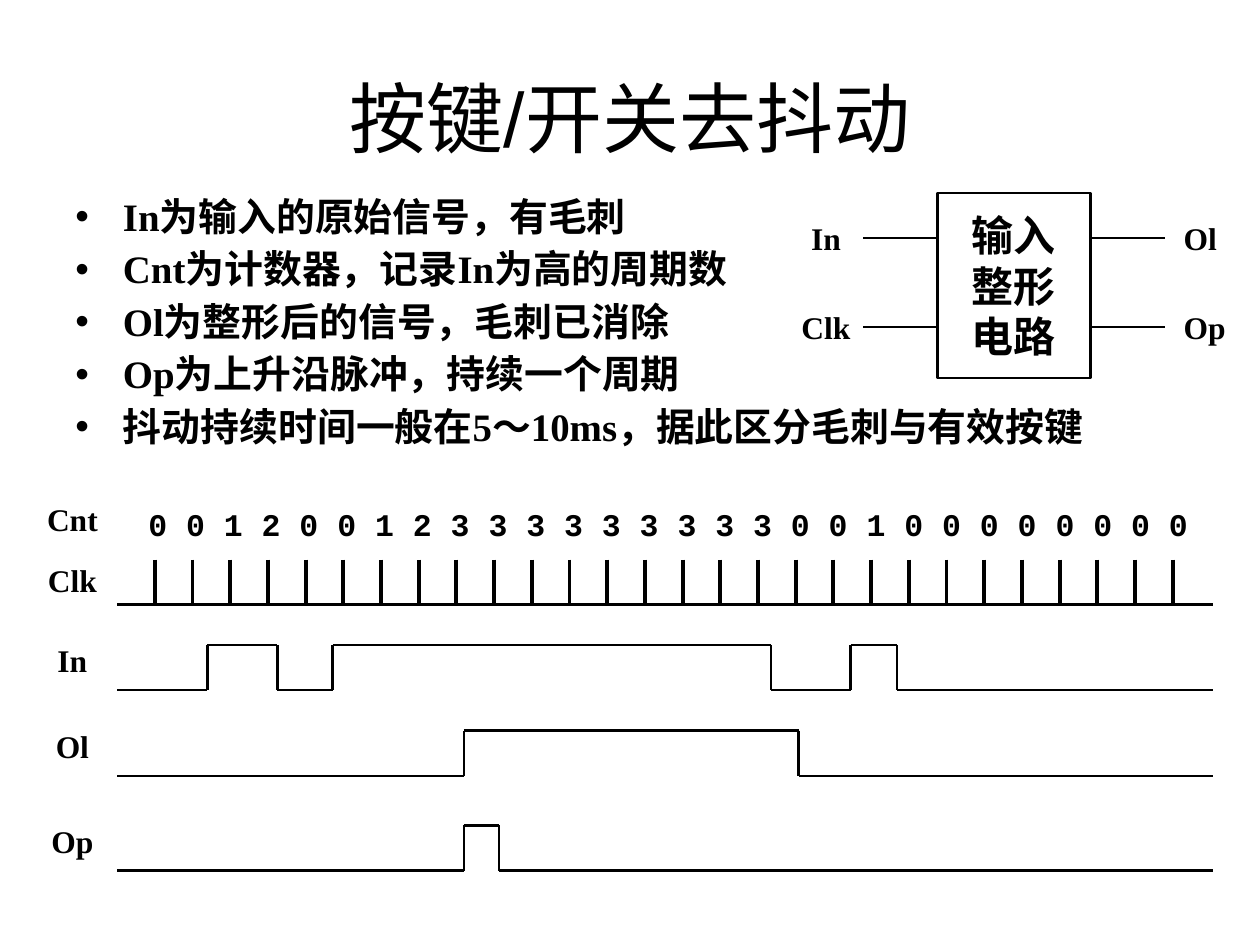
from dataclasses import dataclass
from itertools import pairwise

from lxml.etree import SubElement
from pptx import Presentation
from pptx.dml.color import RGBColor
from pptx.enum.shapes import MSO_CONNECTOR as Link, MSO_SHAPE as Form
from pptx.enum.text import MSO_ANCHOR as Anchor, PP_ALIGN as Align
from pptx.oxml.ns import qn
from pptx.util import Cm, Pt


@dataclass(frozen=True)
class Theme:
    ink: RGBColor = RGBColor(0, 0, 0)
    head: str = "Arial"
    body: str = "Times New Roman"
    code: str = "Courier New"
    title: float = 44
    block: float = 24
    list: float = 22.2
    label: float = 18
    thin: float = 1.5
    thick: float = 2.25


T = Theme()

POINTS = (
    "In为输入的原始信号，有毛刺",
    "Cnt为计数器，记录In为高的周期数",
    "Ol为整形后的信号，毛刺已消除",
    "Op为上升沿脉冲，持续一个周期",
    "抖动持续时间一般在5～10ms，据此区分毛刺与有效按键",
)
COUNTS = "0012001233333333300100000000"
# Name, top of the high level, and where the level flips (cm in the box)
WAVES = (
    ("In", 3.04, (1.82, 3.23, 4.35, 13.18, 14.79, 15.72)),
    ("Ol", 4.77, (6.99, 13.74)),
    ("Op", 6.68, (6.99, 7.7)),
)


def style(par, size, face=T.body, bold=True, align=Align.LEFT):
    par.alignment = align
    font = par.font
    font.name, font.size, font.bold = face, Pt(size), bold
    font.color.rgb = T.ink


def line(slide, x1, y1, x2, y2, width=T.thin):
    link = slide.shapes.add_connector(
        Link.STRAIGHT, Cm(x1), Cm(y1), Cm(x2), Cm(y2))
    link.line.color.rgb = T.ink
    link.line.width = Pt(width)
    SubElement(link._element.spPr, qn("a:effectLst"))


def label(slide, text, x, y, w, align=Align.CENTER, face=T.body):
    box = slide.shapes.add_textbox(Cm(x), Cm(y), Cm(w), Cm(1.02))
    frame = box.text_frame
    frame.word_wrap = False
    frame.text = text
    style(frame.paragraphs[0], T.label, face, align=align)


def add_title(slide, x, y, w, h):
    head = slide.shapes.title
    head.left, head.top, head.width, head.height = Cm(x), Cm(y), Cm(w), Cm(h)
    frame = head.text_frame
    frame.text = "按键/开关去抖动"
    frame.vertical_anchor = Anchor.MIDDLE
    style(frame.paragraphs[0], T.title, T.head, False, Align.CENTER)


def add_list(slide, x, y, w, h):
    frame = slide.shapes.add_textbox(Cm(x), Cm(y), Cm(w), Cm(h)).text_frame
    frame.word_wrap = True
    frame.text = "\n".join(POINTS)
    for par in frame.paragraphs:
        par.line_spacing = 0.9
        par.space_after = Pt(6)
        props = par._p.get_or_add_pPr()
        props.set("marL", str(Cm(0.96)))
        props.set("indent", str(-Cm(0.96)))
        SubElement(props, qn("a:buFont"), typeface=T.head)
        SubElement(props, qn("a:buChar"), char="•")
        style(par, T.list)


def add_block(slide, x, y, w, h):
    box = slide.shapes.add_shape(Form.RECTANGLE, Cm(x), Cm(y), Cm(w), Cm(h))
    box.shadow.inherit = False
    box.fill.background()
    box.line.color.rgb = T.ink
    box.line.width = Pt(T.thin)
    frame = box.text_frame
    frame.vertical_anchor = Anchor.MIDDLE
    frame.text = "输入\n整形\n电路"
    for par in frame.paragraphs:
        style(par, T.block, align=Align.CENTER)

    # Pins: inputs on the left, outputs on the right
    for row, (left, right) in enumerate((("In", "Ol"), ("Clk", "Op"))):
        pin = y + 0.91 + 1.79 * row
        line(slide, x - 1.5, pin, x, pin)
        line(slide, x + w, pin, x + w + 1.5, pin)
        label(slide, left, x - 3.1, pin - 0.5, 1.7)
        label(slide, right, x + w + 1.63, pin - 0.5, 1.45, Align.LEFT)


def add_waves(slide, x, y, w):
    rise, step = 0.91, 0.76

    def name(text, top):
        label(slide, text, x - 1.75, top, 1.7)

    # Counter values, one for each clock tick
    name("Cnt", y)
    label(slide, " ".join(COUNTS), x + 0.38, y + 0.1, w - 0.38,
          Align.LEFT, T.code)

    # Clock
    top = y + 1.32
    name("Clk", top - 0.1)
    line(slide, x, top + rise, x + w, top + rise)
    for tick in range(len(COUNTS)):
        at = x + 0.76 + step * tick
        line(slide, at, top, at, top + rise, T.thick)

    # Signals: each starts low and flips at every edge
    for text, drop, edges in WAVES:
        top = y + drop
        name(text, top - 0.2)
        for i, (start, end) in enumerate(pairwise((0, *edges, w))):
            level = top if i % 2 else top + rise
            line(slide, x + start, level, x + end, level)
        for edge in edges:
            line(slide, x + edge, top, x + edge, top + rise)


def main():
    deck = Presentation()
    deck.slide_width, deck.slide_height = Cm(25.4), Cm(19.05)
    slide = deck.slides.add_slide(deck.slide_layouts[5])
    add_title(slide, 1.27, 0.76, 22.86, 3.18)
    add_block(slide, 18.9, 3.89, 3.08, 3.73)
    add_list(slide, 1.27, 3.86, 23, 5.92)
    add_waves(slide, 2.36, 9.96, 22.1)
    deck.save("out.pptx")


if __name__ == "__main__":
    main()
